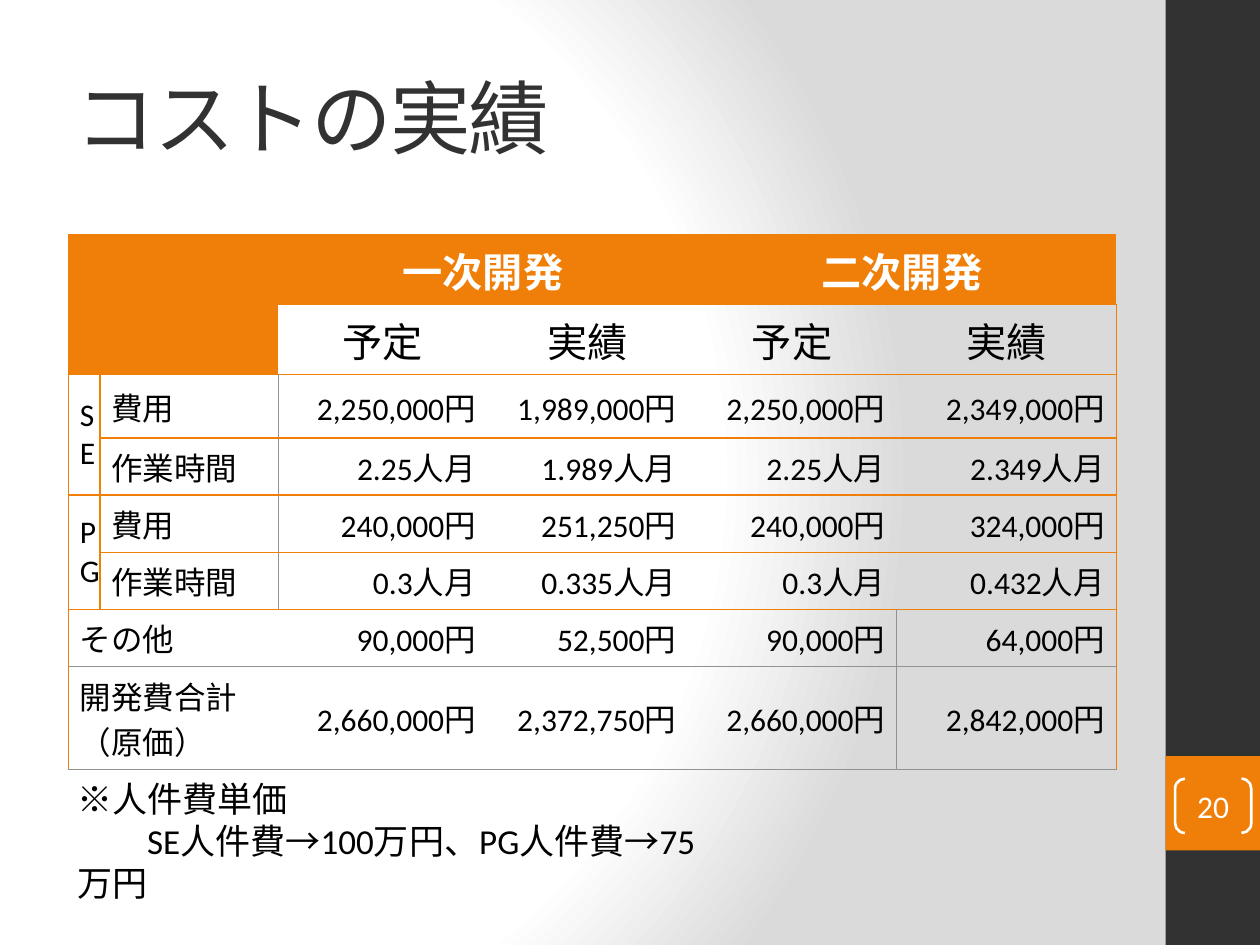
from pptx import Presentation
from pptx.dml.color import RGBColor
from pptx.enum.shapes import MSO_SHAPE
from pptx.enum.text import MSO_ANCHOR, PP_ALIGN
from pptx.oxml import parse_xml
from pptx.util import Pt

ORANGE, DARK, WHITE, GREY = "F07F09", "323232", "FFFFFF", "929292"
NS = ('xmlns:a="http://schemas.openxmlformats.org/drawingml/2006/main" '
      'xmlns:p="http://schemas.openxmlformats.org/presentationml/2006/main"')


def color(text):
    return RGBColor.from_string(text)


def style(frame, size, tint, align=PP_ALIGN.LEFT, bold=False):
    frame.word_wrap = True
    for para in frame.paragraphs:
        para.alignment = align
        for run in para.runs:
            run.font.size = Pt(size)
            run.font.name = "Calibri"
            run.font.bold = bold
            run.font.color.rgb = color(tint)


deck = Presentation()
deck.slide_width, deck.slide_height = Pt(720), Pt(540)
slide = deck.slides.add_slide(deck.slide_layouts[6])
shapes = slide.shapes

stops = "".join(f'<a:gs pos="{pos}"><a:srgbClr val="{tint}"/></a:gs>'
                for pos, tint in [(0, WHITE), (75000, WHITE), (100000, "DADADA")])
slide.element.cSld.insert(0, parse_xml(
    f'<p:bg {NS}><p:bgPr><a:gradFill rotWithShape="1"><a:gsLst>{stops}</a:gsLst>'
    '<a:path path="circle"><a:fillToRect l="20000" t="50000" r="100000" b="50000"/>'
    '</a:path></a:gradFill><a:effectLst/></p:bgPr></p:bg>'))

for top, height, tint in [(0, 540, DARK), (432, 54, ORANGE)]:
    band = shapes.add_shape(MSO_SHAPE.RECTANGLE, Pt(666), Pt(top), Pt(54), Pt(height))
    band.shadow.inherit = False
    band.fill.solid()
    band.fill.fore_color.rgb = color(tint)
    band.line.fill.background()

rows = [
    ["", "", "一次開発", "", "二次開発", ""],
    ["", "", "予定", "実績", "予定", "実績"],
    ["SE", "費用", "2,250,000円", "1,989,000円", "2,250,000円", "2,349,000円"],
    ["", "作業時間", "2.25人月", "1.989人月", "2.25人月", "2.349人月"],
    ["PG", "費用", "240,000円", "251,250円", "240,000円", "324,000円"],
    ["", "作業時間", "0.3人月", "0.335人月", "0.3人月", "0.432人月"],
    ["その他", "", "90,000円", "52,500円", "90,000円", "64,000円"],
    ["開発費合計（原価）", "", "2,660,000円", "2,372,750円", "2,660,000円", "2,842,000円"],
]
widths = [18, 102, 119.5, 114.5, 119.5, 125.5]
heights = [39.5, 39.5, 36.4, 32.3, 32.3, 32.3, 32.3, 58.3]
holder = shapes.add_table(len(rows), len(widths), Pt(39), Pt(134),
                          Pt(sum(widths)), Pt(sum(heights)))
table = holder.table
table.first_row = table.horz_banding = False
holder.element.find(".//{*}tableStyleId").text = "{2D5ABB26-0587-4C30-8999-92F81FD0307C}"
for col, width in zip(table.columns, widths):
    col.width = Pt(width)
for row, height in zip(table.rows, heights):
    row.height = Pt(height)

for r, texts in enumerate(rows):
    for c, text in enumerate(texts):
        cell = table.cell(r, c)
        head = r == 0 or (r == 1 and c < 2)
        cell.vertical_anchor = MSO_ANCHOR.MIDDLE
        cell.margin_left = cell.margin_right = Pt(6.6)
        cell.margin_top = cell.margin_bottom = Pt(3.3)
        if head:
            cell.fill.solid()
            cell.fill.fore_color.rgb = color(ORANGE)
        else:
            cell.fill.background()
        if text:
            cell.text_frame.text = text
            if r < 2 or text in ("SE", "PG"):
                align = PP_ALIGN.CENTER
            else:
                align = PP_ALIGN.RIGHT if c > 1 else PP_ALIGN.LEFT
            style(cell.text_frame, 23 if r < 2 else 18,
                  WHITE if head else "000000", align, r == 0)
        edges = []
        if c == 0 and r > 1:
            edges.append(("lnL", ORANGE, 1))
        if (c == 5 and r > 0) or (c == 0 and 2 <= r <= 5):
            edges.append(("lnR", ORANGE, 1))
        elif (c == 1 and 2 <= r <= 5) or (c == 4 and r > 5):
            edges.append(("lnR", GREY, 0.5))
        edges.append(("lnB", ORANGE, 1) if r < 6 else ("lnB", GREY, 0.5))
        for spot, (tag, tint, width) in enumerate(edges):
            cell._tc.get_or_add_tcPr().insert(spot, parse_xml(
                f'<a:{tag} {NS} w="{Pt(width)}"><a:solidFill>'
                f'<a:srgbClr val="{tint}"/></a:solidFill></a:{tag}>'))

for r, c, low, right in [(0, 0, 1, 1), (0, 2, 0, 3), (0, 4, 0, 5), (2, 0, 3, 0),
                         (4, 0, 5, 0), (6, 0, 6, 1), (7, 0, 7, 1)]:
    table.cell(r, c).merge(table.cell(low, right))

note = shapes.add_textbox(Pt(37), Pt(441), Pt(386.5), Pt(55)).text_frame
note.text = "※人件費単価\nSE人件費→100万円、PG人件費→75万円"
style(note, 20, "000000")
note.paragraphs[1]._p.get_or_add_pPr().set("indent", str(Pt(40)))

badge = shapes.add_shape(MSO_SHAPE.DOUBLE_BRACKET, Pt(671.5), Pt(445), Pt(43.5), Pt(31))
badge.adjustments[0] = 0.18
badge.shadow.inherit = False
badge.fill.background()
badge.line.color.rgb = color(WHITE)
badge.line.width = Pt(1.5)
page = badge.text_frame
page.margin_left = page.margin_right = page.margin_top = page.margin_bottom = 0
page.vertical_anchor = MSO_ANCHOR.MIDDLE
page.text = "20"
style(page, 18, WHITE, PP_ALIGN.CENTER)

title = shapes.add_textbox(Pt(36), Pt(21.6), Pt(600), Pt(90)).text_frame
title.vertical_anchor = MSO_ANCHOR.MIDDLE
title.text = "コストの実績"
style(title, 46, DARK)
title.paragraphs[0].runs[0].font._element.set("spc", "-100")

deck.save("out.pptx")
